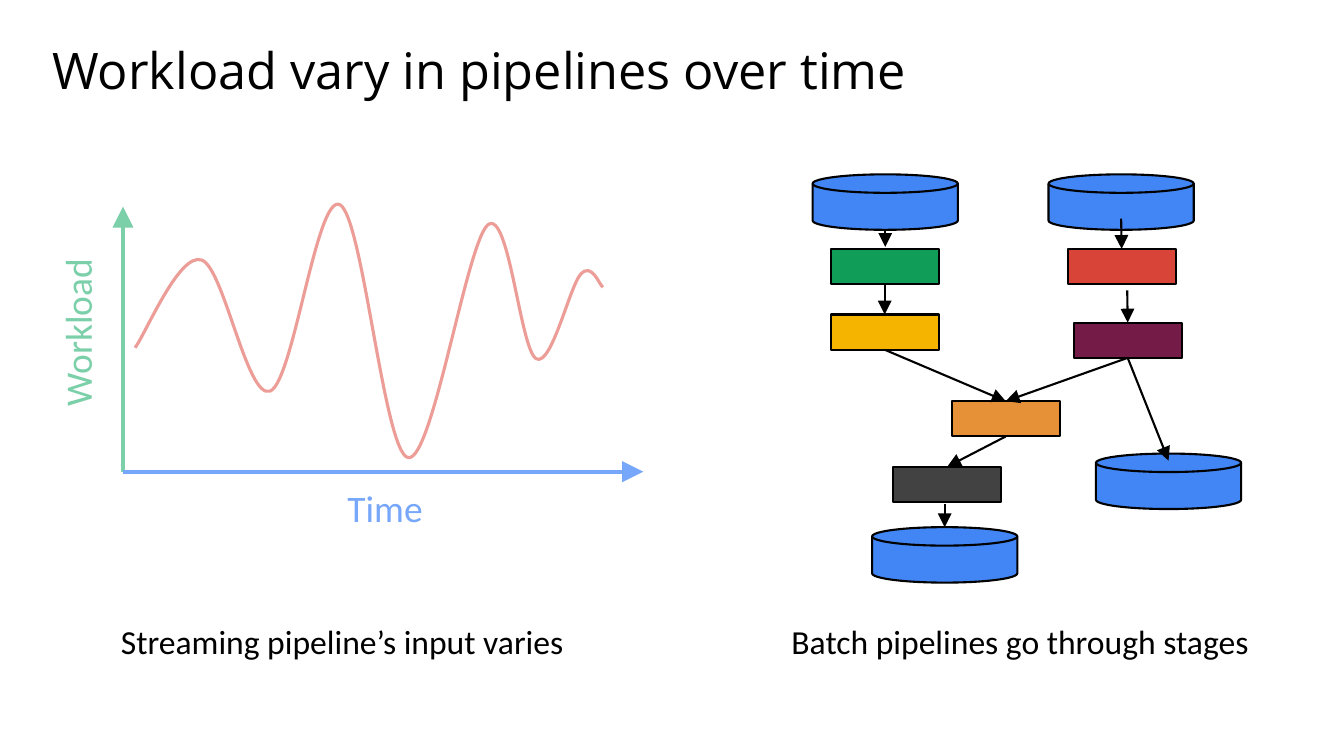
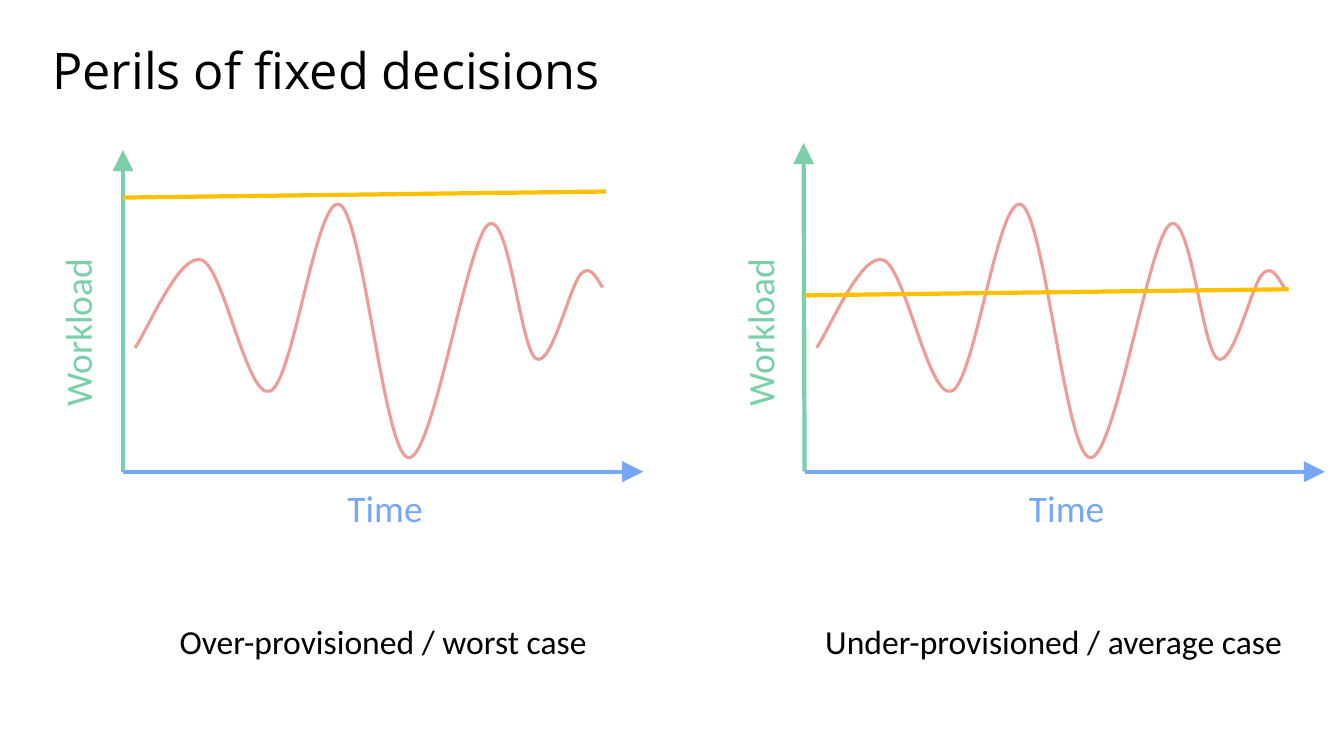
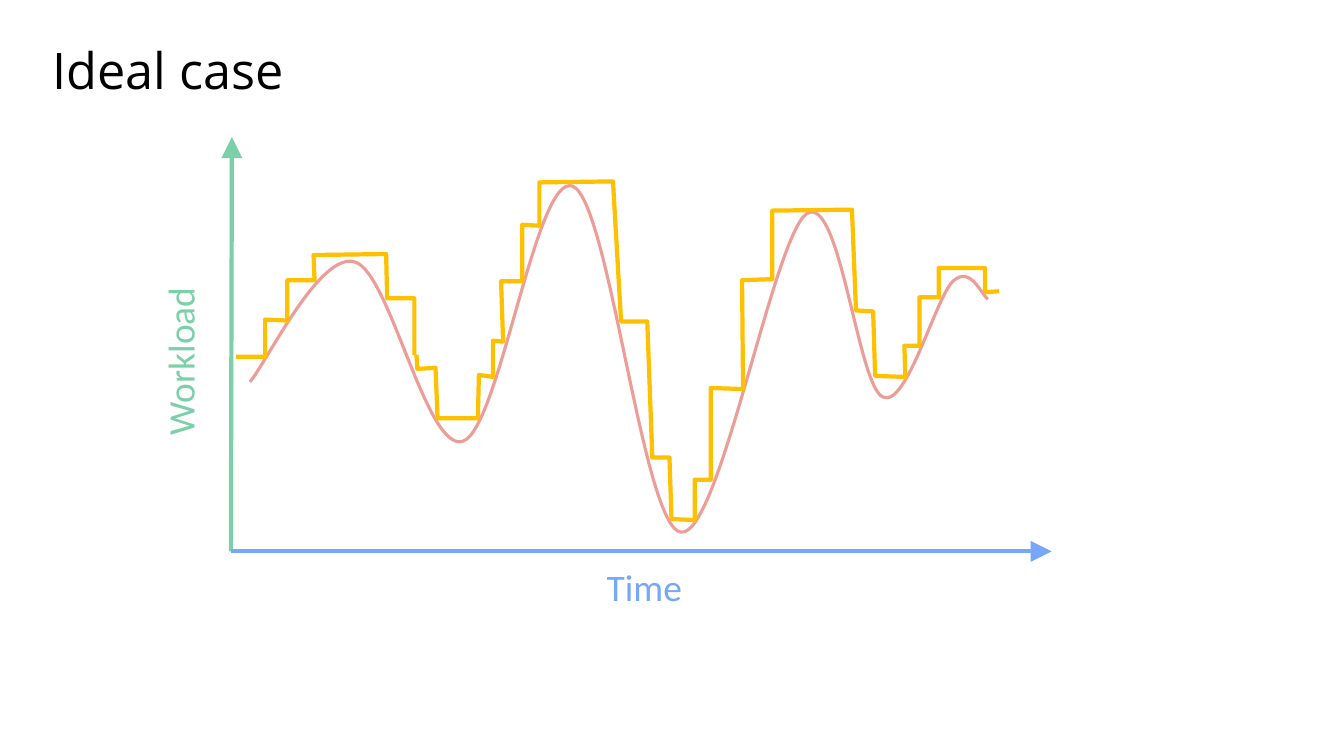
from lxml import etree
from pptx import Presentation
from pptx.dml.color import RGBColor
from pptx.enum.shapes import MSO_CONNECTOR, MSO_SHAPE
from pptx.enum.text import MSO_ANCHOR, PP_ALIGN
from pptx.oxml.ns import qn
from pptx.util import Inches, Pt

BLACK, GREEN, BLUE = "000000", "7BCFA9", "76A7FA"
PINK, AMBER, DISK_BLUE = "ED9D97", "FFC000", "4285F4"
color = RGBColor.from_string


def write(page, text, box, size, ink, font="Calibri", align=PP_ALIGN.LEFT,
          anchor=MSO_ANCHOR.TOP, insets=(0.13, 0.13), spacing=None):
    shape = page.shapes.add_textbox(*[Inches(value) for value in box])
    frame = shape.text_frame
    frame.word_wrap = True
    frame.vertical_anchor = anchor
    frame.margin_left = frame.margin_right = Inches(insets[0])
    frame.margin_top = frame.margin_bottom = Inches(insets[1])
    para = frame.paragraphs[0]
    para.alignment = align
    para.line_spacing = spacing
    span = para.add_run()
    span.text = text
    span.font.name = font
    span.font.size = Pt(size)
    span.font.color.rgb = color(ink)
    return shape


def draw_line(page, start, end, ink, width, arrow=True):
    line = page.shapes.add_connector(
        MSO_CONNECTOR.STRAIGHT, *[Inches(value) for value in (*start, *end)])
    line.line.color.rgb = color(ink)
    line.line.width = Pt(width)
    properties = line._element.spPr
    if arrow:
        etree.SubElement(properties.find(qn("a:ln")), qn("a:tailEnd"),
                         type="triangle", w="lg", len="lg")
    etree.SubElement(properties, qn("a:effectLst"))
    return line


deck = Presentation()
deck.slide_width, deck.slide_height = Inches(13.33), Inches(7.5)

# Pages with titles and captions
CAPTION_LEFTS = (1.07, 7.72)
contents = [
    ("Workload vary in pipelines over time", PP_ALIGN.LEFT,
     ["Streaming pipeline’s input varies", "Batch pipelines go through stages"]),
    ("Perils of fixed decisions", PP_ALIGN.CENTER,
     ["Over-provisioned / worst case", "Under-provisioned / average case"]),
    ("Ideal case", PP_ALIGN.CENTER, []),
]
pages = []
for title, align, captions in contents:
    page = deck.slides.add_slide(deck.slide_layouts[6])
    pages.append(page)
    write(page, title, (0.42, 0.27, 10.62, 0.84), 36, BLACK, font="Open Sans",
          anchor=MSO_ANCHOR.MIDDLE, insets=(0.1, 0.05))
    for left, caption in zip(CAPTION_LEFTS, captions):
        write(page, caption, (left, 6.02, 5.46, 0.62), 24, BLACK, align=align,
              anchor=MSO_ANCHOR.MIDDLE, spacing=1.15)
varying, fixed, ideal = pages

# Workload curve, right of and above the origin of the axes:
# the start, then two control points and an end for each bend
workload = [
    (0.12, 1.23),
    (0.23, 1.38), (0.56, 2.18), (0.78, 2.1),
    (1, 2.03), (1.23, 0.71), (1.46, 0.8),
    (1.69, 0.89), (1.92, 2.76), (2.15, 2.65),
    (2.38, 2.54), (2.59, 0.17), (2.83, 0.14),
    (3.07, 0.1), (3.41, 2.28), (3.62, 2.45),
    (3.83, 2.61), (3.94, 1.2), (4.1, 1.12),
    (4.25, 1.04), (4.43, 1.84), (4.54, 1.96),
    (4.65, 2.08), (4.72, 1.86), (4.76, 1.83),
]

# Provisioning that follows the workload
early_steps = [
    (2.34, 3.54), (2.63, 3.54), (2.63, 3.17), (2.85, 3.18), (2.85, 2.78), (3.12, 2.78),
    (3.11, 2.53), (3.83, 2.52), (3.84, 2.96), (4.11, 2.96), (4.11, 3.52),
]
late_steps = [
    (4.13, 3.52), (4.14, 3.66), (4.32, 3.65), (4.34, 4.15), (4.74, 4.15), (4.75, 3.72),
    (4.89, 3.74), (4.89, 3.38), (4.99, 3.39), (4.97, 2.79), (5.18, 2.79), (5.18, 2.23),
    (5.35, 2.24), (5.35, 1.81), (6.08, 1.8), (6.16, 3.19), (6.42, 3.19), (6.47, 4.54),
    (6.64, 4.54), (6.66, 5.15), (6.89, 5.16), (6.89, 4.76), (7.05, 4.76), (7.05, 3.85),
    (7.37, 3.86), (7.36, 2.78), (7.66, 2.77), (7.66, 2.09), (8.45, 2.08), (8.49, 3.08),
    (8.66, 3.09), (8.68, 3.73), (8.98, 3.74), (8.97, 3.43), (9.12, 3.43), (9.12, 2.95),
    (9.31, 2.95), (9.31, 2.66), (9.77, 2.66), (9.77, 2.9), (9.91, 2.89),
]

# Plots: page, origin, tip of the upright axis, scales, label distance and
# height of the time label, stepped lines
plots = [
    (varying, 1.22, 4.68, (1.22, 2.05), 1, 1, 0.47, 0.8, []),
    (fixed, 1.22, 4.68, (1.22, 1.49), 1, 1, 0.47, 0.8, []),
    (fixed, 7.98, 4.68, (7.97, 1.42), 1, 1, 0.46, 0.8, []),
    (ideal, 2.29, 5.47, (2.3, 1.36), 8.14 / 5.16, 3.39 / 2.48, 0.52, 0.67,
     [early_steps, late_steps]),
]
LABEL_HEIGHT = 0.68
for page, left, base, tip, scale_x, scale_y, label_gap, time_height, steps in plots:
    draw_line(page, (left, base), tip, GREEN, 3)
    draw_line(page, (left, base), (left + 5.16 * scale_x, base), BLUE, 3)
    label_width = 2.48 * scale_y
    label = write(page, "Workload",
                  (left - label_gap - label_width / 2,
                   base - 1.38 * scale_y - LABEL_HEIGHT / 2, label_width, LABEL_HEIGHT),
                  26.7, GREEN, align=PP_ALIGN.CENTER)
    label.rotation = 270
    write(page, "Time", (left + 0.98 * scale_x, base, 3.24 * scale_x, time_height),
          26.7, BLUE, align=PP_ALIGN.CENTER)
    curve = [(Inches(left + x * scale_x), Inches(base - y * scale_y)) for x, y in workload]
    traces = [(curve[::3], PINK, 2.25)]
    for points in steps:
        traces.append(([(Inches(x), Inches(y)) for x, y in points], AMBER, 3))
    for corners, ink, width in traces:
        builder = page.shapes.build_freeform(*corners[0], scale=1.0)
        builder.add_line_segments(corners[1:], close=False)
        trace = builder.convert_to_shape()
        trace.shadow.inherit = False
        trace.fill.background()
        trace.line.color.rgb = color(ink)
        trace.line.width = Pt(width)
        if ink == PINK:
            # Bend each straight segment with its two control points
            for number, segment in enumerate(list(trace._element.iter(qn("a:lnTo")))):
                segment.tag = qn("a:cubicBezTo")
                controls = curve[3 * number + 1:3 * number + 3]
                for position, (x, y) in enumerate(controls):
                    segment.insert(position, etree.Element(
                        qn("a:pt"), x=str(x - trace.left), y=str(y - trace.top)))

# Fixed provisioning levels
for start, end in [((1.22, 1.96), (6.01, 1.9)), ((7.98, 2.93), (12.78, 2.87))]:
    draw_line(fixed, start, end, AMBER, 3, arrow=False)

# Batch pipeline
STAGE, DISK = (1.07, 0.35), (1.44, 0.55)
nodes = [
    ("left source", 8.06, 1.73, DISK_BLUE, DISK),
    ("right source", 10.4, 1.73, DISK_BLUE, DISK),
    ("left sink", 8.65, 5.23, DISK_BLUE, DISK),
    ("right sink", 10.87, 4.5, DISK_BLUE, DISK),
    ("green", 8.24, 2.47, "0F9D58", STAGE),
    ("yellow", 8.24, 3.12, "F4B400", STAGE),
    ("red", 10.59, 2.47, "D84437", STAGE),
    ("purple", 10.65, 3.2, "741B47", STAGE),
    ("orange", 9.44, 3.98, "E69138", STAGE),
    ("gray", 8.86, 4.63, "424242", STAGE),
]
stages = {}
for name, left, top, fill, size in nodes:
    kind = MSO_SHAPE.RECTANGLE if size == STAGE else MSO_SHAPE.FLOWCHART_MAGNETIC_DISK
    node = varying.shapes.add_shape(
        kind, *[Inches(value) for value in (left, top, *size)])
    node.shadow.inherit = False
    node.fill.solid()
    node.fill.fore_color.rgb = color(fill)
    node.line.color.rgb = color(BLACK)
    node.line.width = Pt(1.5)
    if size == STAGE:
        stages[name] = node

# Each end of a link is a stage or a free point
links = [
    ((8.78, 2.28), (8.78, 2.45)), ("green", "yellow"), ("yellow", "orange"),
    ((11.12, 2.17), "red"), ((11.18, 2.88), "purple"), ("purple", "orange"),
    ("purple", (11.59, 4.57)), ("orange", "gray"), ((9.37, 5), (9.37, 5.23)),
]
for begin, end in links:
    start_point = (0, 0) if begin in stages else begin
    end_point = (0, 0) if end in stages else end
    link = draw_line(varying, start_point, end_point, BLACK, 1.5)
    if begin in stages:
        link.begin_connect(stages[begin], 2)
    if end in stages:
        link.end_connect(stages[end], 0)

deck.save("out.pptx")
